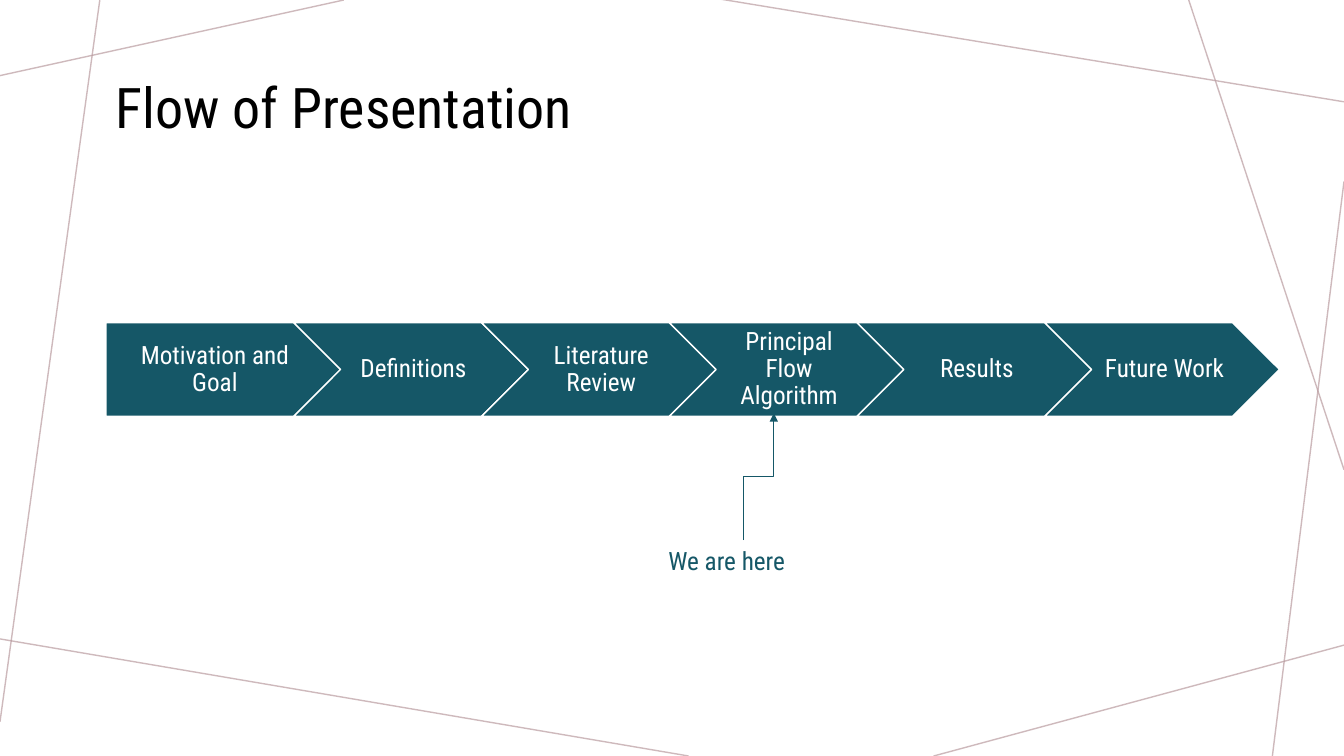
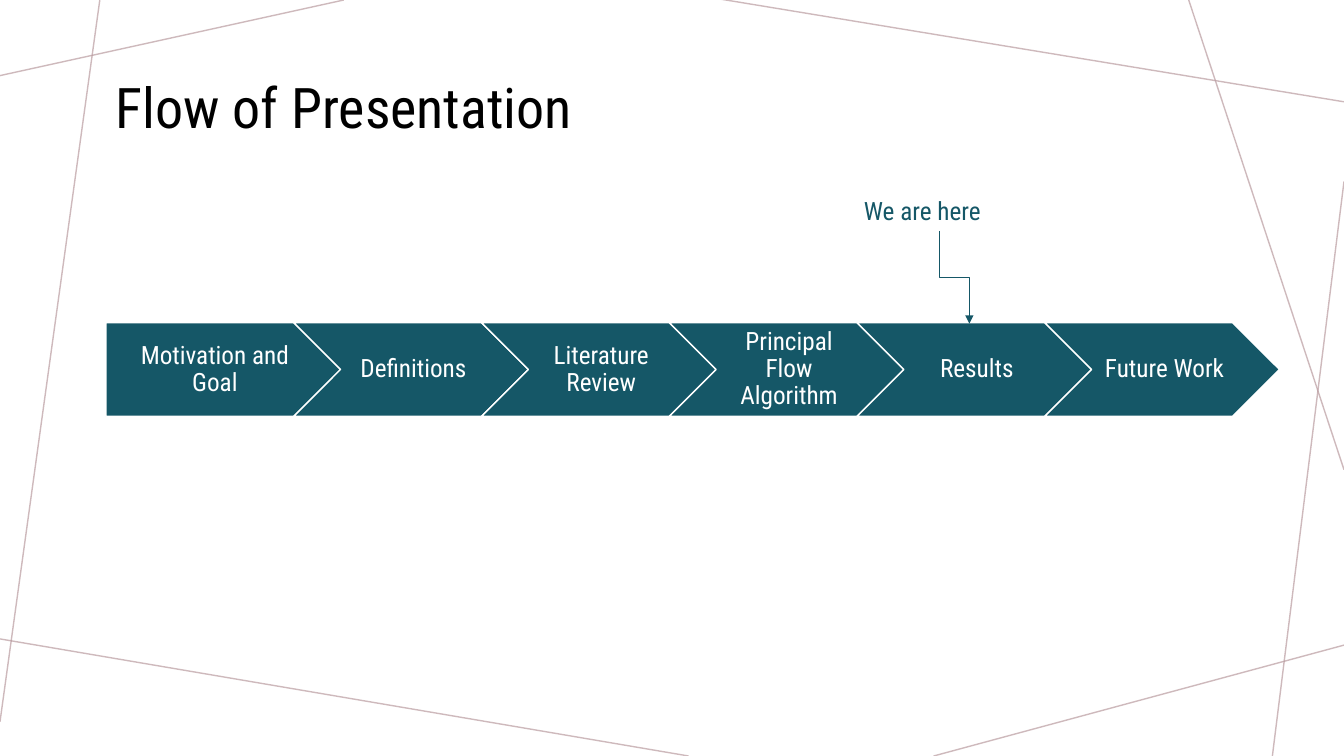
from dataclasses import dataclass

from lxml.etree import SubElement
from pptx import Presentation
from pptx.dml.color import RGBColor
from pptx.enum.shapes import MSO_CONNECTOR, MSO_SHAPE
from pptx.enum.text import MSO_ANCHOR, MSO_AUTO_SIZE, PP_ALIGN
from pptx.oxml.ns import qn
from pptx.util import Inches, Pt


@dataclass(frozen=True)
class Theme:
    font: str = "Roboto Condensed"
    ink: RGBColor = RGBColor(0x00, 0x00, 0x00)
    teal: RGBColor = RGBColor(0x15, 0x57, 0x67)
    mauve: RGBColor = RGBColor(0xBA, 0x9C, 0xA0)
    white: RGBColor = RGBColor(0xFF, 0xFF, 0xFF)
    head: Pt = Pt(40)
    body: Pt = Pt(18)


THEME = Theme()
WIDE, HIGH = 13.33, 7.5
TITLE = "Flow of Presentation"
STEPS = ["Motivation and Goal", "Definitions", "Literature Review",
         "Principal Flow Algorithm", "Results", "Future Work"]
RAYS = [
    (3.41, 0, 0, 0.75),
    (0.99, 0, 0, 7.16),
    (6.83, HIGH, -0.05, 6.33),
    (WIDE, 6.4, 9.26, HIGH),
    (WIDE, 1.8, 12.62, HIGH),
    (WIDE, 4.66, 11.79, 0),
    (WIDE, 1.01, 7.14, -0.01),
]
# Label left, label top and arrow tip height, one per slide
MARKS = [(6.53, 5.36, 4.1), (8.47, 1.89, 3.21)]


def style(para, size, color):
    para.font.name = THEME.font
    para.font.size = size
    para.font.color.rgb = color


def link(slide, kind, ends, color, width):
    line = slide.shapes.add_connector(kind, *map(Inches, ends))
    line.line.color.rgb = color
    line.line.width = Pt(width)
    SubElement(line.element.spPr, qn("a:effectLst"))
    return line


def label(slide, box, text, size, color):
    shape = slide.shapes.add_textbox(*map(Inches, box))
    frame = shape.text_frame
    frame.word_wrap = True
    frame.auto_size = MSO_AUTO_SIZE.SHAPE_TO_FIT_TEXT
    frame.text = text
    style(frame.paragraphs[0], size, color)


def rays(slide):
    """Thin translucent lines around the slide edges."""
    for ends in RAYS:
        line = link(slide, MSO_CONNECTOR.STRAIGHT, ends, THEME.mauve, 1)
        tint = line.element.spPr.find(".//" + qn("a:srgbClr"))
        SubElement(tint, qn("a:alpha"), val="70000")


def chain(slide, left, top, width):
    """Row of arrows, each overlapping the next by a fifth."""
    wide = width / (1 + 0.8 * (len(STEPS) - 1))
    for i, text in enumerate(STEPS):
        kind = MSO_SHAPE.CHEVRON if i else MSO_SHAPE.PENTAGON
        box = (left + 0.8 * wide * i, top, wide, 0.4 * wide)
        shape = slide.shapes.add_shape(kind, *map(Inches, box))
        shape.shadow.inherit = False
        shape.fill.solid()
        shape.fill.fore_color.rgb = THEME.teal
        shape.line.color.rgb = THEME.white
        shape.line.width = Pt(1)
        frame = shape.text_frame
        frame.word_wrap = True
        frame.vertical_anchor = MSO_ANCHOR.MIDDLE
        frame.margin_left = Inches(0.08 if i else 0.1)
        frame.margin_right = Inches(0.03)
        frame.margin_top = frame.margin_bottom = Inches(0.05)
        frame.text = text
        para = frame.paragraphs[0]
        para.alignment = PP_ALIGN.CENTER
        para.line_spacing = 0.9
        style(para, THEME.body, THEME.white)


def mark(slide, left, top, tip):
    """Label with a bent arrow up or down to the tip height."""
    wide, high, shift = 1.69, 0.4, 0.3
    up = tip < top
    start = top if up else top + high
    span = abs(tip - start)
    # The elbow lies flat, then turns a quarter about its centre
    mid_x, mid_y = left + wide / 2 + shift / 2, (start + tip) / 2
    x1, x2 = mid_x + span / 2, mid_x - span / 2
    y1, y2 = mid_y - shift / 2, mid_y + shift / 2
    if up:
        y1, y2 = y2, y1
    line = link(slide, MSO_CONNECTOR.ELBOW, (x1, y1, x2, y2), THEME.teal, 0.5)
    turn = 90 if up else 270
    line.element.spPr.find(qn("a:xfrm")).set("rot", str(turn * 60000))
    stroke = line.element.spPr.find(qn("a:ln"))
    SubElement(stroke, qn("a:tailEnd"), type="triangle")
    label(slide, (left, top, wide, high), "We are here",
          THEME.body, THEME.teal)


def flow(deck, spot):
    """One flow slide with its current step marked."""
    slide = deck.slides.add_slide(deck.slide_layouts[6])
    rays(slide)
    chain(slide, 1.05, 3.2, 11.64)
    label(slide, (1.05, 0.67, 10.07, 0.77), TITLE, THEME.head, THEME.ink)
    mark(slide, *spot)


def main():
    deck = Presentation()
    deck.slide_width, deck.slide_height = Inches(WIDE), Inches(HIGH)
    for spot in MARKS:
        flow(deck, spot)
    deck.save("out.pptx")


if __name__ == "__main__":
    main()
